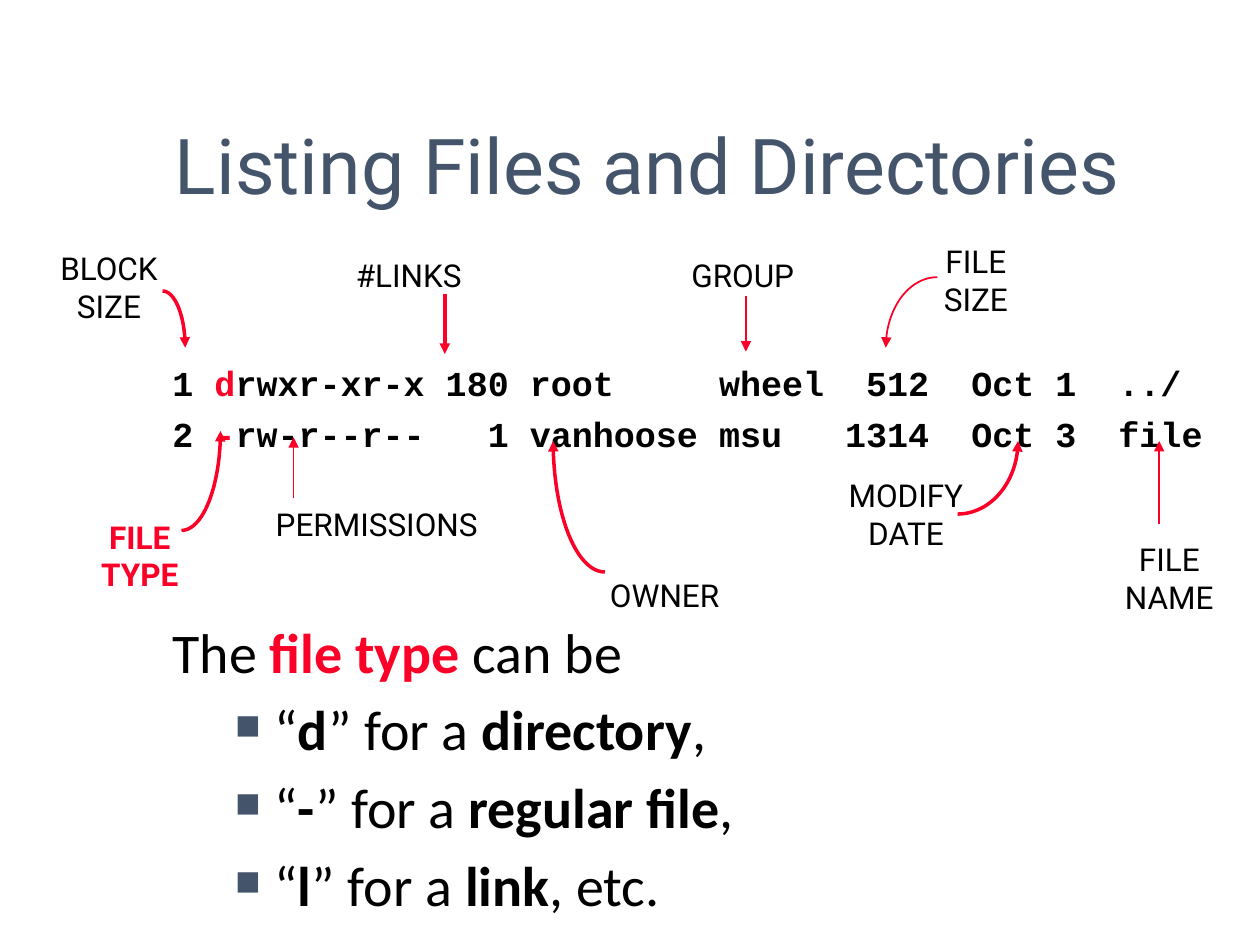
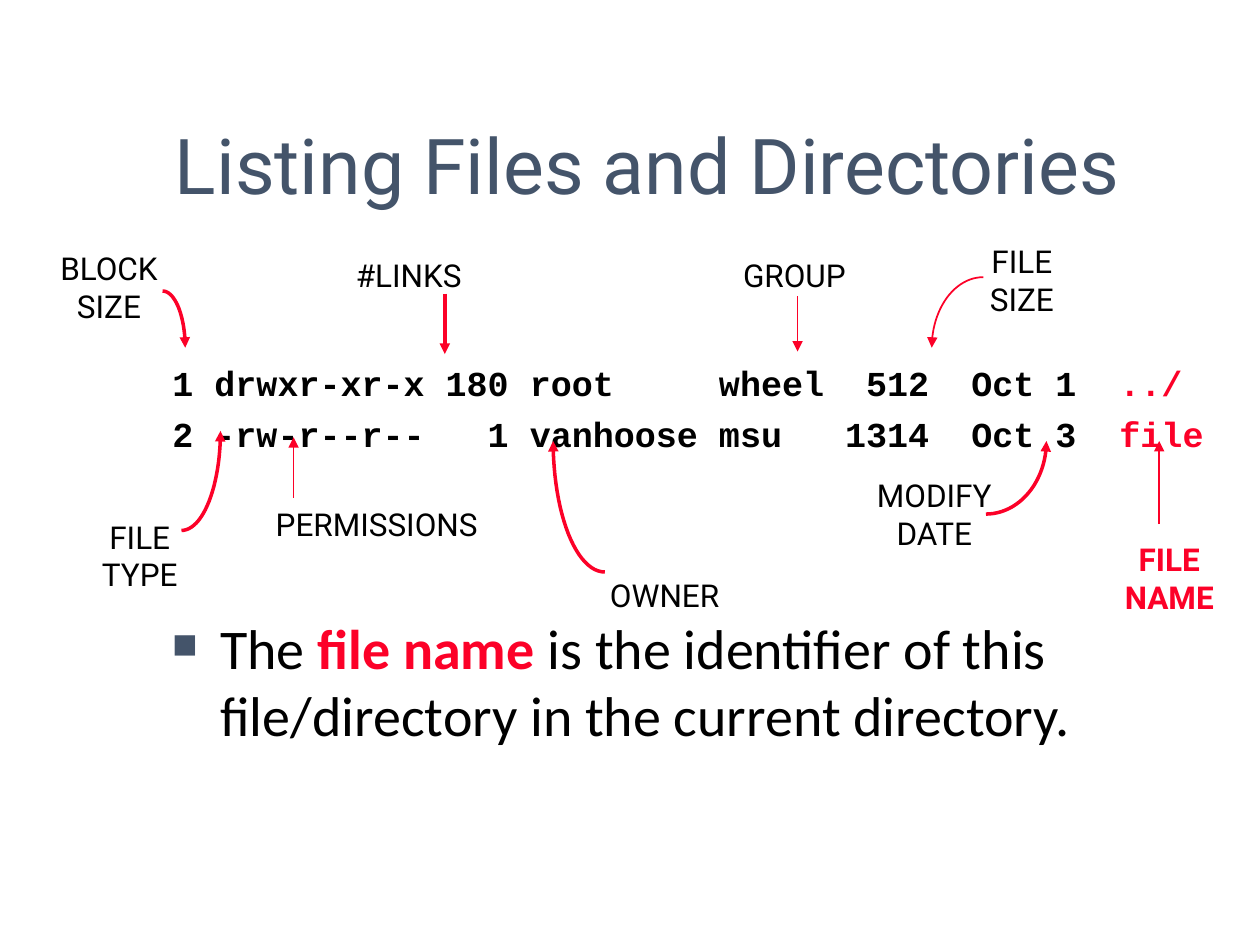
import math
from dataclasses import dataclass
from typing import NamedTuple

import pptx
import pptx.dml.color
import pptx.enum.shapes
import pptx.enum.text
import pptx.oxml
import pptx.oxml.ns
import pptx.util

RED = pptx.dml.color.RGBColor(0xFC, 0x01, 0x28)
SLATE = pptx.dml.color.RGBColor(0x44, 0x54, 0x6A)
BLACK = pptx.dml.color.RGBColor(0, 0, 0)
HEADING_FONT, BODY_FONT, CODE_FONT = "Roboto", "Calibri", "Courier New"

SLIDE_WIDTH, SLIDE_HEIGHT = pptx.util.Inches(10), pptx.util.Inches(7.5)
COLUMN, ROW = SLIDE_WIDTH / 100, SLIDE_HEIGHT / 75
NAMESPACE = 'xmlns:a="http://schemas.openxmlformats.org/drawingml/2006/main"'
CURVE_STEPS = 24


class Area(NamedTuple):
    """A rectangle in grid columns and rows."""
    left: float
    top: float
    width: float
    height: float


class Point(NamedTuple):
    column: float
    row: float


class Span(NamedTuple):
    text: str
    bold: bool = False
    color: pptx.dml.color.RGBColor = BLACK


class Line(NamedTuple):
    """A paragraph; a bulleted one hangs from its indent."""
    spans: list[Span]
    indent: float = 0
    hanging: float = 0


@dataclass(frozen=True)
class Callout:
    text: str
    area: Area
    start: Point
    tip: Point
    weight: float


@dataclass(frozen=True)
class Lesson:
    highlight: str
    shifts: dict[str, float]
    listing: list[Line]
    explanation: list[Line]
    explanation_top: float


TITLE_AREA = Area(12.9, 6.7, 84.4, 12.5)
LISTING_AREA = Area(12.7, 28.2, 85.2, 8.2)

CALLOUTS = [
    Callout("BLOCK\nSIZE", Area(3.4, 19.3, 10.5, 7), Point(12.9, 23.1), Point(14.7, 27.6), 2),
    Callout("PERMISSIONS", Area(20.8, 39.6, 18.2, 4), Point(23.3, 39.5), Point(23.3, 34.7), 1),
    Callout("FILE\nTYPE", Area(6.8, 40.6, 8.6, 7), Point(14.4, 42.1), Point(17.5, 34.2), 2),
    Callout("#LINKS", Area(22.3, 19.8, 20.3, 4), Point(35.3, 23.3), Point(35.3, 28.1), 2),
    Callout("OWNER", Area(47.2, 45.2, 11.1, 4), Point(48, 45.4), Point(43.9, 35), 2),
    Callout("GROUP", Area(53.7, 19.8, 10.5, 4), Point(59.2, 23.5), Point(59.2, 27.9), 1),
    Callout("FILE SIZE", Area(72.4, 18.7, 10.1, 7), Point(74.4, 22), Point(70.3, 27.6), 1),
    Callout("MODIFY DATE", Area(65.5, 37.3, 12.8, 7), Point(76, 40.8), Point(80.8, 35), 2),
    Callout("FILE NAME", Area(87.2, 42.4, 11.2, 7), Point(92, 41.6), Point(92, 35), 1),
]


def code(text: str, color: pptx.dml.color.RGBColor = BLACK) -> Span:
    return Span(text, True, color)


def kind_line(symbol: str, kind: str, ending: str) -> Line:
    """One bulleted file type with its symbol and its name in bold."""
    spans = [Span("“"), Span(symbol, True), Span("” for a "), Span(kind, True), Span(ending)]
    return Line(spans, indent=8.1, hanging=3.1)


LESSONS = [
    Lesson(
        highlight="FILE\nTYPE",
        shifts={},
        listing=[
            Line([code("1 "), code("d", RED),
                  code("rwxr-xr-x 180 root     wheel  512  Oct 1  ../")]),
            Line([code("2 "), code("-", RED),
                  code("rw-r--r--   1 vanhoose msu   1314  Oct 3  file")]),
        ],
        explanation=[
            Line([Span("The "), Span("file type", True, RED), Span(" can be")]),
            kind_line("d", "directory", ","),
            kind_line("-", "regular file", ","),
            kind_line("l", "link", ", etc."),
        ],
        explanation_top=48.5,
    ),
    Lesson(
        highlight="FILE NAME",
        shifts={"GROUP": 4.1, "FILE SIZE": 3.65, "MODIFY DATE": 2.25},
        listing=[
            Line([code("1 drwxr-xr-x 180 root     wheel  512  Oct 1  "), code("../", RED)]),
            Line([code("2 -rw-r--r--   1 vanhoose msu   1314  Oct 3  "), code("file", RED)]),
        ],
        explanation=[
            Line([Span("The "), Span("file name", True, RED),
                  Span(" is the identifier of this file/directory in the current directory.")],
                 indent=3.8, hanging=3.8),
        ],
        explanation_top=48.2,
    ),
]


def place(point: Point) -> tuple[int, int]:
    return round(point.column * COLUMN), round(point.row * ROW)


def element(markup: str):
    """Parse one drawing element such as '<a:buChar char="■"/>'."""
    tag, rest = markup[:-2].partition(" ")[::2]
    return pptx.oxml.parse_xml(f"{tag} {NAMESPACE} {rest}/>")


def add_bullet(paragraph, line: Line) -> None:
    properties = paragraph._p.get_or_add_pPr()
    properties.set("marL", str(round(line.indent * COLUMN)))
    properties.set("indent", str(round(-line.hanging * COLUMN)))
    color = pptx.oxml.parse_xml(
        f'<a:buClr {NAMESPACE}><a:srgbClr val="{SLATE}"/></a:buClr>')
    properties.append(color)
    for markup in ('<a:buSzPct val="75000"/>', f'<a:buFont typeface="{CODE_FONT}"/>',
                   '<a:buChar char="■"/>'):
        properties.append(element(markup))


def add_text(page, area: Area, lines: list[Line], *, font: str, size: float,
             gap: float = 0, wrap: bool = True,
             align=pptx.enum.text.PP_ALIGN.LEFT,
             anchor=pptx.enum.text.MSO_ANCHOR.TOP):
    left, top = place(Point(area.left, area.top))
    width, height = place(Point(area.width, area.height))
    box = page.shapes.add_textbox(left, top, width, height)
    frame = box.text_frame
    frame.word_wrap = wrap
    frame.vertical_anchor = anchor
    for index, line in enumerate(lines):
        paragraph = frame.paragraphs[0] if index == 0 else frame.add_paragraph()
        paragraph.alignment = align
        if index and gap:
            paragraph.space_before = pptx.util.Pt(gap)
        if line.hanging:
            add_bullet(paragraph, line)
        for span in line.spans:
            run = paragraph.add_run()
            run.text = span.text
            run.font.name = font
            run.font.size = pptx.util.Pt(size)
            run.font.bold = span.bold
            run.font.color.rgb = span.color
    return box


def add_title(page, text: str) -> None:
    box = add_text(page, TITLE_AREA, [Line([Span(text, color=SLATE)])], font=HEADING_FONT,
                   size=44, anchor=pptx.enum.text.MSO_ANCHOR.MIDDLE)
    properties = box.text_frame.paragraphs[0].runs[0]._r.get_or_add_rPr()
    shadow = pptx.oxml.parse_xml(
        f'<a:effectLst {NAMESPACE}><a:outerShdw dist="38100" dir="2700000" algn="tl">'
        '<a:srgbClr val="000000"/></a:outerShdw></a:effectLst>')
    properties.find(pptx.oxml.ns.qn("a:solidFill")).addnext(shadow)


def add_arrow(page, start: Point, tip: Point, weight: float) -> None:
    """A straight arrow, or a quarter ellipse that meets its tip upright."""
    if start.column == tip.column:
        arrow = page.shapes.add_connector(
            pptx.enum.shapes.MSO_CONNECTOR.STRAIGHT, *place(start), *place(tip))
        arrow._element.spPr.append(element("<a:effectLst />"))
    else:
        angles = [step / CURVE_STEPS * math.pi / 2 for step in range(1, CURVE_STEPS + 1)]
        points = [place(Point(start.column + (tip.column - start.column) * math.sin(angle),
                              tip.row + (start.row - tip.row) * math.cos(angle)))
                  for angle in angles]
        builder = page.shapes.build_freeform(*place(start))
        builder.add_line_segments(points, close=False)
        arrow = builder.convert_to_shape()
        arrow.fill.background()
        arrow.shadow.inherit = False
    arrow.line.color.rgb = RED
    arrow.line.width = pptx.util.Pt(weight)
    arrow.line._get_or_add_ln().append(element('<a:tailEnd type="triangle"/>'))


def add_callout(page, callout: Callout, shift: float, highlighted: bool) -> None:
    color = RED if highlighted else BLACK
    lines = [Line([Span(text, highlighted, color)]) for text in callout.text.split("\n")]
    area = callout.area._replace(left=callout.area.left + shift)
    add_text(page, area, lines, font=HEADING_FONT, size=18, wrap=" " in callout.text,
             align=pptx.enum.text.PP_ALIGN.CENTER)
    start, tip = (point._replace(column=point.column + shift)
                  for point in (callout.start, callout.tip))
    add_arrow(page, start, tip, callout.weight)


def add_lesson(deck, lesson: Lesson) -> None:
    page = deck.slides.add_slide(deck.slide_layouts[6])
    add_title(page, "Listing Files and Directories")
    add_text(page, LISTING_AREA, lesson.listing, font=CODE_FONT, size=20, gap=5.3)
    explanation_area = LISTING_AREA._replace(top=lesson.explanation_top, height=25)
    add_text(page, explanation_area, lesson.explanation, font=BODY_FONT, size=32, gap=6)
    for callout in CALLOUTS:
        add_callout(page, callout, lesson.shifts.get(callout.text, 0),
                    callout.text == lesson.highlight)


def main() -> None:
    deck = pptx.Presentation()
    deck.slide_width, deck.slide_height = SLIDE_WIDTH, SLIDE_HEIGHT
    for lesson in LESSONS:
        add_lesson(deck, lesson)
    deck.save("out.pptx")


if __name__ == "__main__":
    main()
